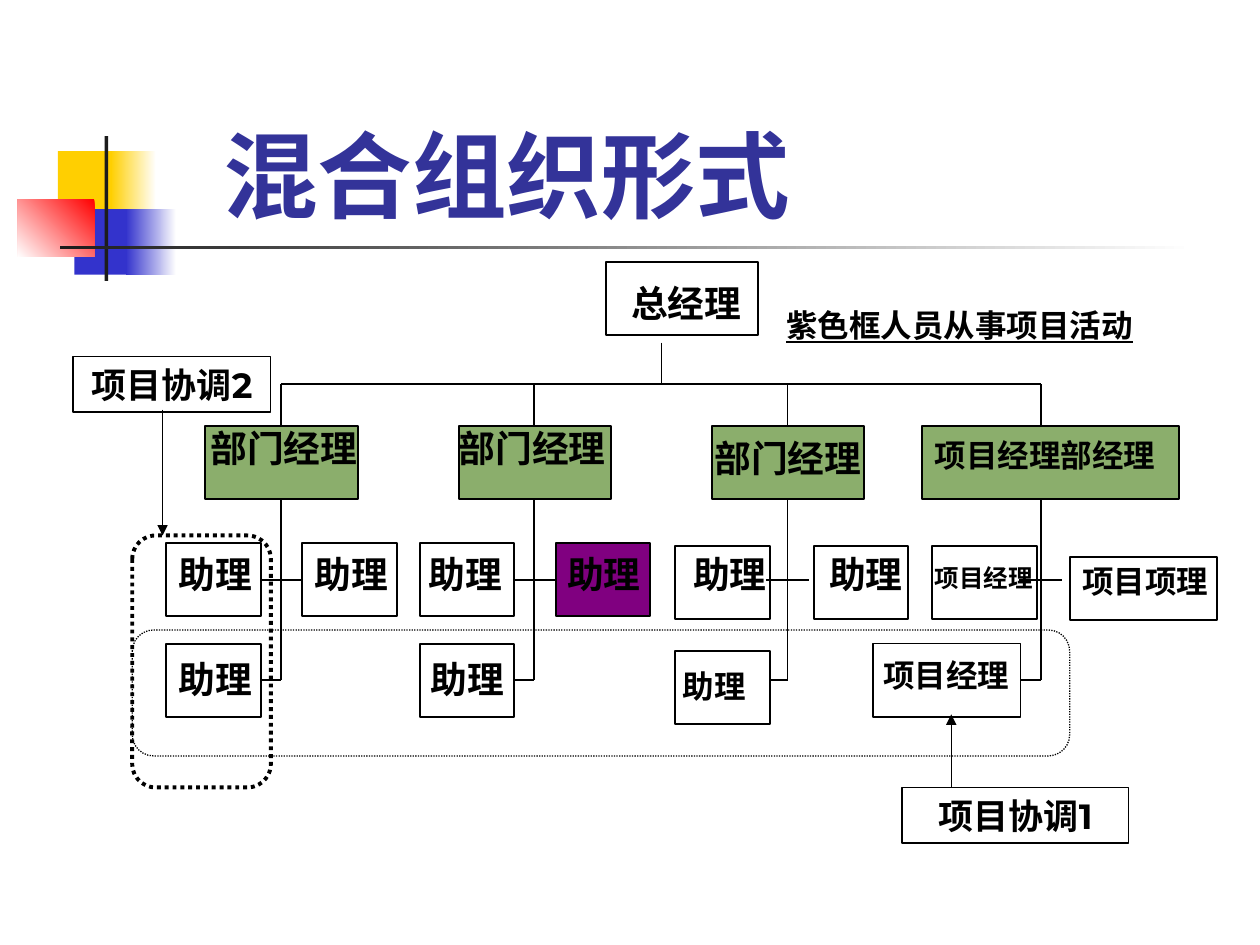
from lxml.etree import SubElement
from pptx import Presentation
from pptx.dml.color import RGBColor
from pptx.enum.dml import MSO_LINE
from pptx.enum.shapes import MSO_CONNECTOR, MSO_SHAPE
from pptx.enum.text import MSO_ANCHOR, MSO_AUTO_SIZE, PP_ALIGN
from pptx.oxml.ns import qn
from pptx.util import Inches, Pt

COLORS = {
    "black": "000000", "white": "FFFFFF", "title": "333399",
    "green": "8BAE6C", "purple": "800080", "yellow": "FFCF01",
    "blue": "3333CC", "red": "FF0000", "dark": "1C1C1C",
}
CJK_FONT = "Noto Sans CJK SC"
LABEL_FONT = "Montserrat"
TITLE_FONT = "Roboto"

# Levels and columns of the chart
COLUMN_STEP = 2.01
STEMS = [2.23 + COLUMN_STEP * i for i in range(4)]
TOP_BUS, MANAGER_TOP, BOX_HEIGHT = 3.05, 3.38, 0.58
UPPER_ROW, LOWER_ROW, BRANCH = 4.6, 5.4, 0.17

# Staff boxes: left, top, width, height, text, size, text offset, fill
STAFF = [
    (1.32, 4.31, 0.75, 0.58, "助理", 21, (0.1, 0.07), "white"),
    (2.4, 4.31, 0.75, 0.58, "助理", 21, (0.1, 0.07), None),
    (1.32, 5.11, 0.75, 0.58, "助理", 21, (0.1, 0.1), "white"),
    (3.33, 4.31, 0.75, 0.58, "助理", 21, (0.07, 0.07), None),
    (4.41, 4.31, 0.75, 0.58, "助理", 21, (0.09, 0.07), "purple"),
    (3.33, 5.11, 0.75, 0.58, "助理", 21, (0.09, 0.1), "white"),
    (5.36, 4.33, 0.75, 0.58, "助理", 21, (0.14, 0.05), None),
    (6.46, 4.33, 0.75, 0.58, "助理", 21, (0.12, 0.05), None),
    (5.36, 5.17, 0.75, 0.58, "助理", 18, (0.06, 0.12), "white"),
    (7.4, 4.33, 0.83, 0.58, "项目经理", 14, (0.02, 0.14), None),
    (8.49, 4.42, 1.17, 0.5, "项目项理", 18, (0.1, 0.04), None),
]


def rgb(name):
    return RGBColor.from_string(COLORS[name])


def style_text(paragraph, size, font_name, color="black"):
    for run in paragraph.runs:
        run.font.size = Pt(size)
        run.font.name = font_name
        run.font.bold = True
        run.font.color.rgb = rgb(color)
        east_asian = SubElement(run.font._element, qn("a:ea"))
        east_asian.set("typeface", CJK_FONT)


def add_box(slide, left, top, width, height, fill=None, line=1.13,
            kind=MSO_SHAPE.RECTANGLE):
    box = slide.shapes.add_shape(
        kind, Inches(left), Inches(top), Inches(width), Inches(height))
    box.shadow.inherit = False
    if fill:
        box.fill.solid()
        box.fill.fore_color.rgb = rgb(fill)
    else:
        box.fill.background()
    if line:
        box.line.color.rgb = rgb("black")
        box.line.width = Pt(line)
    else:
        box.line.fill.background()
    return box


def add_gradient(slide, left, top, width, height, start, end, angle=180):
    block = add_box(slide, left, top, width, height, line=None)
    block.fill.gradient()
    block.fill.gradient_angle = angle
    for stop, color in zip(block.fill.gradient_stops, (start, end)):
        stop.color.rgb = rgb(color)


def add_staff(slide, left, top, width, height, text, size, offset,
              fill=None, line=1.13):
    box = add_box(slide, left, top, width, height, fill, line)
    frame = box.text_frame
    frame.margin_left, frame.margin_top = map(Inches, offset)
    frame.margin_right = frame.margin_bottom = 0
    frame.vertical_anchor = MSO_ANCHOR.TOP
    frame.word_wrap = True
    frame.text = text
    frame.paragraphs[0].alignment = PP_ALIGN.LEFT
    style_text(frame.paragraphs[0], size, CJK_FONT)


def add_coordinator(slide, left, top, width, text):
    box = add_box(slide, left, top, width, 0.44, line=0.75)
    frame = box.text_frame
    frame.vertical_anchor = MSO_ANCHOR.MIDDLE
    frame.text = text
    frame.paragraphs[0].alignment = PP_ALIGN.CENTER
    style_text(frame.paragraphs[0], 20, LABEL_FONT)


def add_line(slide, x1, y1, x2, y2, width=1.13, arrow=False):
    line = slide.shapes.add_connector(
        MSO_CONNECTOR.STRAIGHT, Inches(x1), Inches(y1), Inches(x2), Inches(y2))
    line.line.color.rgb = rgb("black")
    line.line.width = Pt(width)
    if arrow:
        SubElement(line.line._get_or_add_ln(), qn("a:tailEnd")).set("type", "triangle")
    SubElement(line._element.spPr, qn("a:effectLst"))


def add_group_outline(slide, left, top, width, height, line):
    outline = add_box(slide, left, top, width, height, line=line,
                      kind=MSO_SHAPE.ROUNDED_RECTANGLE)
    outline.adjustments[0] = 0.17
    outline.line.dash_style = MSO_LINE.ROUND_DOT


def add_decoration(slide):
    add_box(slide, 0.46, 1.2, 0.48, 0.52, "yellow", None)
    add_gradient(slide, 0.88, 1.2, 0.36, 0.52, "white", "yellow")
    add_box(slide, 0.59, 1.66, 0.46, 0.52, "blue", None)
    add_gradient(slide, 1, 1.66, 0.4, 0.52, "white", "blue")
    add_gradient(slide, 0.14, 1.58, 0.61, 0.46, "red", "white", 225)
    add_box(slide, 0.83, 1.08, 0.03, 1.15, "dark", None)
    add_gradient(slide, 0.48, 1.95, 9, 0.03, "white", "dark")


def set_title(slide, text):
    title = slide.shapes.title
    title.left, title.top = Inches(1.67), Inches(0.83)
    title.width, title.height = Inches(5.57), Inches(1.09)
    frame = title.text_frame
    frame.text = text
    frame.auto_size = MSO_AUTO_SIZE.NONE
    frame.vertical_anchor = MSO_ANCHOR.MIDDLE
    frame.paragraphs[0].alignment = PP_ALIGN.LEFT
    style_text(frame.paragraphs[0], 54, TITLE_FONT, "title")


def add_note(slide, text):
    note = slide.shapes.add_textbox(
        Inches(6.14), Inches(2.38), Inches(3.13), Inches(0.46))
    frame = note.text_frame
    frame.word_wrap = True
    frame.text = text
    style_text(frame.paragraphs[0], 18, LABEL_FONT)
    frame.paragraphs[0].runs[0].font.underline = True


def add_tree_lines(slide):
    add_line(slide, 5.25, 2.72, 5.25, TOP_BUS)
    add_line(slide, STEMS[0], TOP_BUS, STEMS[-1], TOP_BUS)
    for stem in STEMS:
        add_line(slide, stem, TOP_BUS, stem, MANAGER_TOP)
        add_line(slide, stem, MANAGER_TOP + BOX_HEIGHT, stem, LOWER_ROW)
        add_line(slide, stem - BRANCH, UPPER_ROW, stem + BRANCH, UPPER_ROW)
        add_line(slide, stem - BRANCH, LOWER_ROW, stem, LOWER_ROW)


def main():
    prs = Presentation()
    prs.slide_width, prs.slide_height = Inches(10), Inches(7.5)
    slide = prs.slides.add_slide(prs.slide_layouts[5])
    add_decoration(slide)
    set_title(slide, "混合组织形式")

    # Organisation tree
    add_tree_lines(slide)
    add_staff(slide, 4.81, 2.08, 1.21, BOX_HEIGHT, "总经理", 21, (0.2, 0.15))
    for i, offset in enumerate([(0.04, 0), (0, 0), (0.02, 0.08)]):
        add_staff(slide, 1.63 + COLUMN_STEP * i, MANAGER_TOP, 1.21, BOX_HEIGHT,
                  "部门经理", 21, offset, "green")
    add_staff(slide, 7.32, MANAGER_TOP, 2.04, BOX_HEIGHT,
              "项目经理部经理", 18, (0.1, 0.08), "green")
    for staff in STAFF:
        add_staff(slide, *staff)
    add_staff(slide, 6.93, 5.11, 1.17, BOX_HEIGHT,
              "项目经理", 18, (0.08, 0.1), "white", 0.75)

    # Project coordination
    add_note(slide, "紫色框人员从事项目活动")
    add_coordinator(slide, 7.16, 6.25, 1.8, "项目协调1")
    add_group_outline(slide, 1.05, 5, 7.44, 1, 0.75)
    add_line(slide, 7.55, 6.25, 7.55, 5.67, 0.75, arrow=True)
    add_group_outline(slide, 1.05, 4.25, 1.1, 2, 2.25)
    add_coordinator(slide, 0.58, 2.83, 1.57, "项目协调2")
    add_line(slide, 1.29, 3.25, 1.29, 4.25, 0.75, arrow=True)

    prs.save("out.pptx")


if __name__ == "__main__":
    main()
